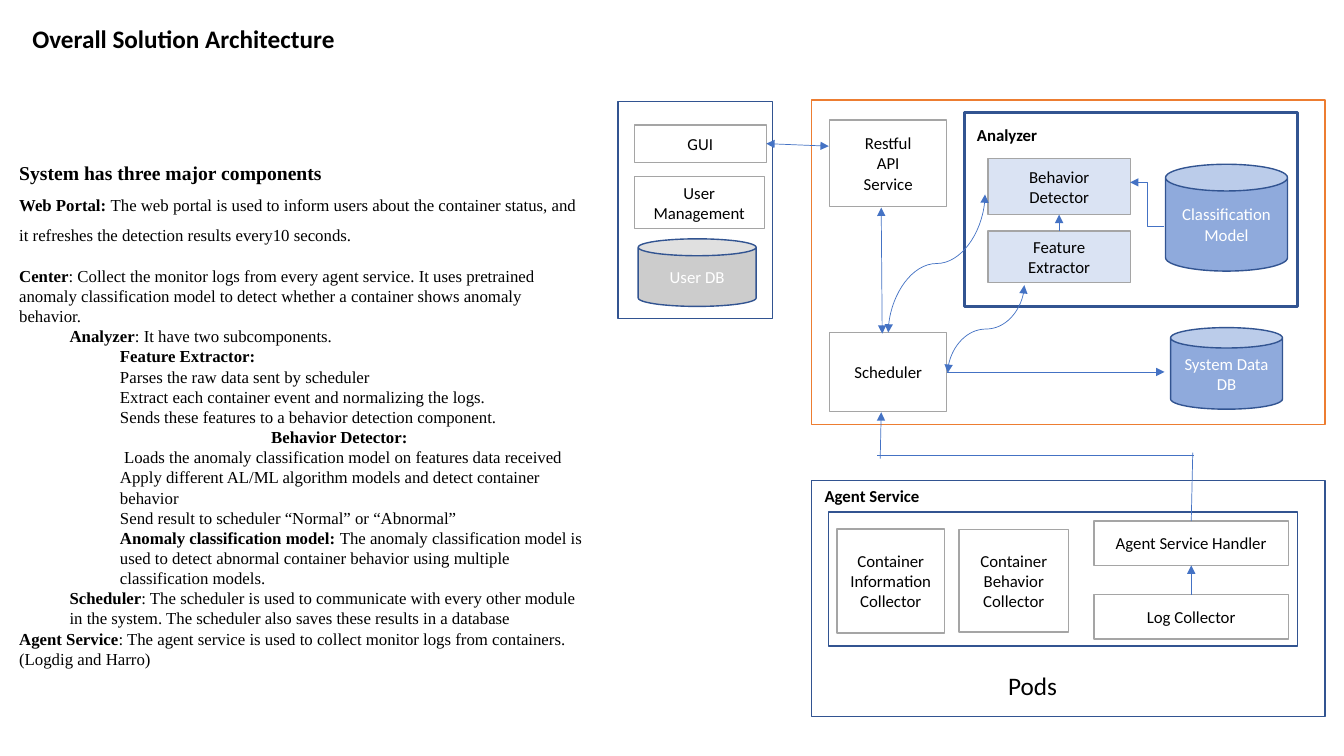
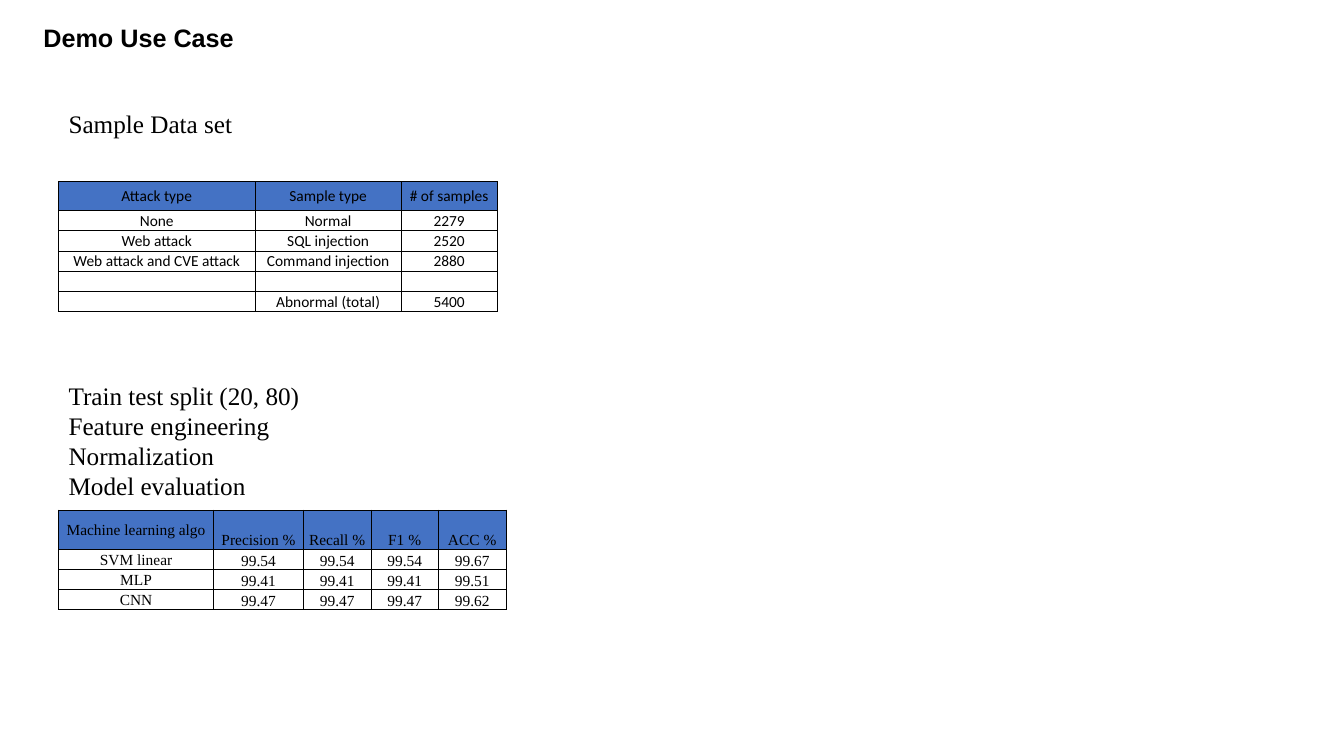
from dataclasses import dataclass

import pptx
import pptx.dml.color
import pptx.enum.shapes
import pptx.enum.text
import pptx.oxml.ns
import pptx.util
from lxml import etree

KIND = pptx.enum.shapes.MSO_SHAPE
WIRE = pptx.enum.shapes.MSO_CONNECTOR
ANCHOR = pptx.enum.text.MSO_ANCHOR
ALIGN = pptx.enum.text.PP_ALIGN
TOP, LEFT, BOTTOM, RIGHT = range(4)


@dataclass(frozen=True)
class Theme:
    black: str = "000000"
    white: str = "FFFFFF"
    navy: str = "325491"
    blue: str = "4472C4"
    sky: str = "8FAADC"
    pale: str = "DAE3F3"
    grey: str = "A5A5A5"
    silver: str = "CCCCCC"
    orange: str = "ED7D31"
    sans: str = "Calibri"
    serif: str = "Times New Roman"
    title_size: float = 18
    heading_size: float = 14
    text_size: float = 12
    cell_size: float = 11
    leading: float = 1.2


THEME = Theme()


def rgb(color):
    return pptx.dml.color.RGBColor.from_string(color)


def tag(name):
    return pptx.oxml.ns.qn(name)


def grid(cells):
    return pptx.util.Inches(cells / 10)


def area(place):
    return [grid(cells) for cells in place]


def write(para, text, *, font=THEME.sans, size=THEME.text_size,
          color=THEME.black, bold=False, align=None):
    if align is not None:
        para.alignment = align
    if not text:
        etree.SubElement(para._p, tag("a:endParaRPr"), sz=str(int(size * 100)))
        return
    span = para.add_run()
    span.text = text
    span.font.name = font
    span.font.size = pptx.util.Pt(size)
    span.font.color.rgb = rgb(color)
    span.font.bold = bold


def paragraphs(frame, items):
    for index, item in enumerate(items):
        yield (frame.add_paragraph() if index else frame.paragraphs[0]), item


@dataclass
class Item:
    lead: str = ""
    text: str = ""
    indent: float = 0
    size: float = THEME.text_size
    lines: float = 1
    skip: int = 0


class Sheet:
    def __init__(self, deck, theme):
        self.deck = deck
        self.theme = theme
        self.page = None

    def open_page(self, title, place, font):
        self.page = self.deck.slides.add_slide(self.deck.slide_layouts[1])
        frame = self.place_holder(self.page.shapes.title, place)
        write(frame.paragraphs[0], title, font=font, size=self.theme.title_size,
              bold=True, align=ALIGN.LEFT)

    def place_holder(self, holder, place):
        holder.left, holder.top, holder.width, holder.height = area(place)
        frame = holder.text_frame
        frame.word_wrap = True
        frame.auto_size = pptx.enum.text.MSO_AUTO_SIZE.NONE
        frame.vertical_anchor = ANCHOR.TOP
        return frame

    def body(self, place, items):
        frame = self.place_holder(self.page.placeholders[1], place)
        for para, item in paragraphs(frame, items):
            pitch = item.size * self.theme.leading
            para.level = min(2, int(item.indent / 5))
            para.line_spacing = pptx.util.Pt(pitch * item.lines)
            para.space_before = pptx.util.Pt(pitch * item.skip)
            para.space_after = pptx.util.Pt(0)
            layout = para._p.get_or_add_pPr()
            layout.set("marL", str(grid(item.indent)))
            layout.set("indent", "0")
            etree.SubElement(layout, tag("a:buNone"))
            for text, bold in ((item.lead, True), (item.text, False)):
                if text:
                    write(para, text, font=self.theme.serif, size=item.size, bold=bold)

    def box(self, place, text="", kind=KIND.RECTANGLE, fill=THEME.white,
            edge=THEME.grey, weight=1, color=THEME.black):
        box = self.page.shapes.add_shape(kind, *area(place))
        box.shadow.inherit = False
        if fill:
            box.fill.solid()
            box.fill.fore_color.rgb = rgb(fill)
        else:
            box.fill.background()
        box.line.color.rgb = rgb(edge)
        box.line.width = pptx.util.Pt(weight)
        frame = box.text_frame
        frame.word_wrap = True
        frame.vertical_anchor = ANCHOR.MIDDLE
        if text:
            for para, line in paragraphs(frame, text.split("\n")):
                write(para, line, color=color, align=ALIGN.CENTER)
        return box

    def cylinder(self, place, text, fill=THEME.sky):
        return self.box(place, text, KIND.CAN, fill, self.theme.navy,
                        color=self.theme.white)

    def label(self, place, text, **style):
        frame = self.page.shapes.add_textbox(*area(place)).text_frame
        frame.word_wrap = True
        write(frame.paragraphs[0], text, **style)

    def wire(self, start, end, heads="", kind=WIRE.STRAIGHT):
        line = self.page.shapes.add_connector(kind, *area(start + end))
        line.line.color.rgb = rgb(self.theme.blue)
        line.line.width = pptx.util.Pt(0.5)
        outline = line.line._get_or_add_ln()
        for head in heads.split():
            etree.SubElement(outline, tag(f"a:{head}End"), type="triangle")
        etree.SubElement(line._element.spPr, tag("a:effectLst"))
        return line

    def curve(self, start, end):
        middle = [(a + b) / 2 for a, b in zip(start, end)]
        half = [abs(start[1] - end[1]) / 2, abs(start[0] - end[0]) / 2]
        corner = tuple(m + h for m, h in zip(middle, half))
        opposite = tuple(m - h for m, h in zip(middle, half))
        line = self.wire(corner, opposite, "head tail", WIRE.CURVE)
        line._element.spPr.find(tag("a:xfrm")).set("rot", "5400000")

    def table(self, corner, columns, heights, rows, font, value_anchor):
        place = corner + (sum(columns), sum(heights))
        table = self.page.shapes.add_table(len(rows), len(columns), *area(place)).table
        table.first_row = table.horz_banding = False
        for column, width in zip(table.columns, columns):
            column.width = grid(width)
        for row, height in zip(table.rows, heights):
            row.height = grid(height)
        for r, texts in enumerate(rows):
            for c, text in enumerate(texts):
                cell = table.cell(r, c)
                cell.margin_left = cell.margin_right = cell.margin_top = grid(0.1)
                cell.margin_bottom = 0
                cell.vertical_anchor = value_anchor if c else ANCHOR.MIDDLE
                self.borders(cell)
                if r:
                    cell.fill.background()
                else:
                    cell.fill.solid()
                    cell.fill.fore_color.rgb = rgb(self.theme.blue)
                write(cell.text_frame.paragraphs[0], text, font=font,
                      size=self.theme.cell_size, align=ALIGN.CENTER)

    def borders(self, cell):
        for side in "LRTB":
            edge = etree.SubElement(cell._tc.get_or_add_tcPr(), tag(f"a:ln{side}"),
                                    w=str(pptx.util.Pt(0.5)))
            fill = etree.SubElement(edge, tag("a:solidFill"))
            etree.SubElement(fill, tag("a:srgbClr"), val=self.theme.black)


def architecture(sheet):
    theme = sheet.theme
    sheet.open_page("Overall Solution Architecture", (2.2, 1.8, 66.7, 4), theme.sans)
    sheet.body((0.9, 15.5, 58.2, 51.6), [
        Item("System has three major components", size=theme.heading_size),
        Item("Web Portal: ", "The web portal is used to inform users about the container status, "
             "and it refreshes the detection results every10 seconds.", lines=1.5),
        Item("Center", ": Collect the monitor logs from every agent service. It uses pretrained",
             skip=1),
        Item("", "anomaly classification model to detect whether a container shows anomaly"),
        Item("", "behavior."),
        Item("Analyzer", ": It have two subcomponents.", 5),
        Item("Feature Extractor:", "", 10),
        Item("", "Parses the raw data sent by scheduler", 10),
        Item("", "Extract each container event and normalizing the logs.", 10),
        Item("", "Sends these features to a behavior detection component.", 10),
        Item("Behavior Detector:", "", 25),
        Item("", "Loads the anomaly classification model on features data received", 10.4),
        Item("", "Apply different AL/ML algorithm models and detect container behavior", 10),
        Item("", "Send result to scheduler “Normal” or “Abnormal”", 10),
        Item("Anomaly classification model: ", "The anomaly classification model is used to detect "
             "abnormal container behavior using multiple classification models.", 10),
        Item("Scheduler", ": The scheduler is used to communicate with every other module "
             "in the system. The scheduler also saves these results in a database", 5),
        Item("Agent Service", ": The agent service is used to collect monitor logs from "
             "containers.(Logdig and Harro)"),
    ])

    sheet.box((80.5, 9.9, 50.9, 32.2), edge=theme.orange)
    sheet.box((80.5, 47.7, 50.9, 23.4), edge=theme.navy)
    sheet.box((61.3, 10.1, 15.3, 21.5), edge=theme.navy)
    service = sheet.box((82.3, 11.9, 11.6, 8.6), "Restful\nAPI\nService")
    scheduler = sheet.box((82.3, 33, 11.6, 7.8), "Scheduler")
    extractor = sheet.box((98, 22.9, 14.1, 5.1), "Feature\nExtractor", fill=theme.pale)
    detector = sheet.box((98, 15.7, 14.1, 5.6), "Behavior Detector", fill=theme.pale)
    sheet.cylinder((115.6, 16.3, 12.1, 10.6), "Classification\nModel")
    sheet.cylinder((116.1, 32.5, 11.1, 8.1), "System Data DB")
    sheet.box((95.7, 11.2, 33, 19.2), fill=None, edge=theme.navy, weight=2.25)
    sheet.box((83, 52.5, 10.7, 10.3), "Container\nInformation Collector")
    sheet.box((95.1, 52.5, 10.9, 10.2), "Container\nBehavior\nCollector")
    handler, collector = [
        sheet.box((108.5, top, 19.3, 4.4), text, fill=None)
        for top, text in ((51.7, "Agent Service Handler"), (59, "Log Collector"))]
    sheet.box((82.2, 50.8, 46.5, 13.3), fill=None, edge=theme.navy)
    sheet.box((62.9, 17.5, 12.9, 5.2), "User\nManagement")
    portal = sheet.box((62.9, 12.4, 13.1, 3.7), "GUI")
    sheet.cylinder((63.3, 23.7, 11.7, 6.7), "User DB", theme.silver)
    sheet.label((80.8, 47.7, 30, 3), "Agent Service", bold=True)
    sheet.label((95.9, 11.9, 9.9, 3), "Analyzer", bold=True)
    sheet.label((99, 66, 17.5, 4), "Pods", size=theme.title_size)

    sheet.wire((93.9, 36.9), (115.5, 36.9), "tail").begin_connect(scheduler, RIGHT)
    for source, target in ((collector, handler), (extractor, detector)):
        link = sheet.wire((0, 0), (0, 0), "tail")
        link.begin_connect(source, TOP)
        link.end_connect(target, BOTTOM)
    sheet.wire((87.4, 20.6), (87.5, 33.1), "head tail")
    sheet.wire((76, 14.3), (82.2, 14.5), "head tail").begin_connect(portal, RIGHT)
    sheet.wire((87.3, 45.5), (87.4, 40.9), "tail")
    sheet.wire((87, 45.2), (118.4, 45.2))
    sheet.wire((118.3, 44.9), (118.2, 51.7)).end_connect(handler, TOP)
    sheet.wire((115.5, 22.5), (112.1, 18.1), "tail", WIRE.ELBOW)
    sheet.curve((88.1, 33), (97.7, 19.3))
    sheet.curve((94, 37), (101.6, 28.3))


def use_case(sheet):
    theme = sheet.theme
    sheet.open_page("Demo Use Case", (3.3, 1.7, 66.7, 4), "Arial")
    size = theme.title_size
    sheet.body((5.8, 10.2, 98.9, 40.4), [
        Item("", "Sample Data set", size=size),
        Item("", "Train test split (20, 80)", size=size, skip=8),
        Item("", "Feature engineering", size=size),
        Item("", "Normalization", size=size),
        Item("", "Model evaluation", size=size),
    ])
    sheet.table((5.8, 18), (19.5, 14.5, 9.5), (2.9,) + (2,) * 5, [
        ("Attack type", "Sample type", "# of samples"),
        ("None", "Normal", "2279"),
        ("Web attack", "SQL injection", "2520"),
        ("Web attack and CVE attack", "Command injection", "2880"),
        ("", "", ""),
        ("", "Abnormal (total)", "5400"),
    ], theme.sans, ANCHOR.MIDDLE)
    sheet.table((5.8, 50.6), (15.4, 8.9) + (6.7,) * 3, (3.9,) + (2,) * 3, [
        ("Machine learning algo", "Precision %", "Recall %", "F1 %", "ACC %"),
        ("SVM linear", "99.54", "99.54", "99.54", "99.67"),
        ("MLP", "99.41", "99.41", "99.41", "99.51"),
        ("CNN", "99.47", "99.47", "99.47", "99.62"),
    ], theme.serif, ANCHOR.BOTTOM)


def main():
    deck = pptx.Presentation()
    deck.slide_width = pptx.util.Inches(13.33)
    deck.slide_height = pptx.util.Inches(7.5)
    sheet = Sheet(deck, THEME)
    architecture(sheet)
    use_case(sheet)
    deck.save("out.pptx")


if __name__ == "__main__":
    main()
